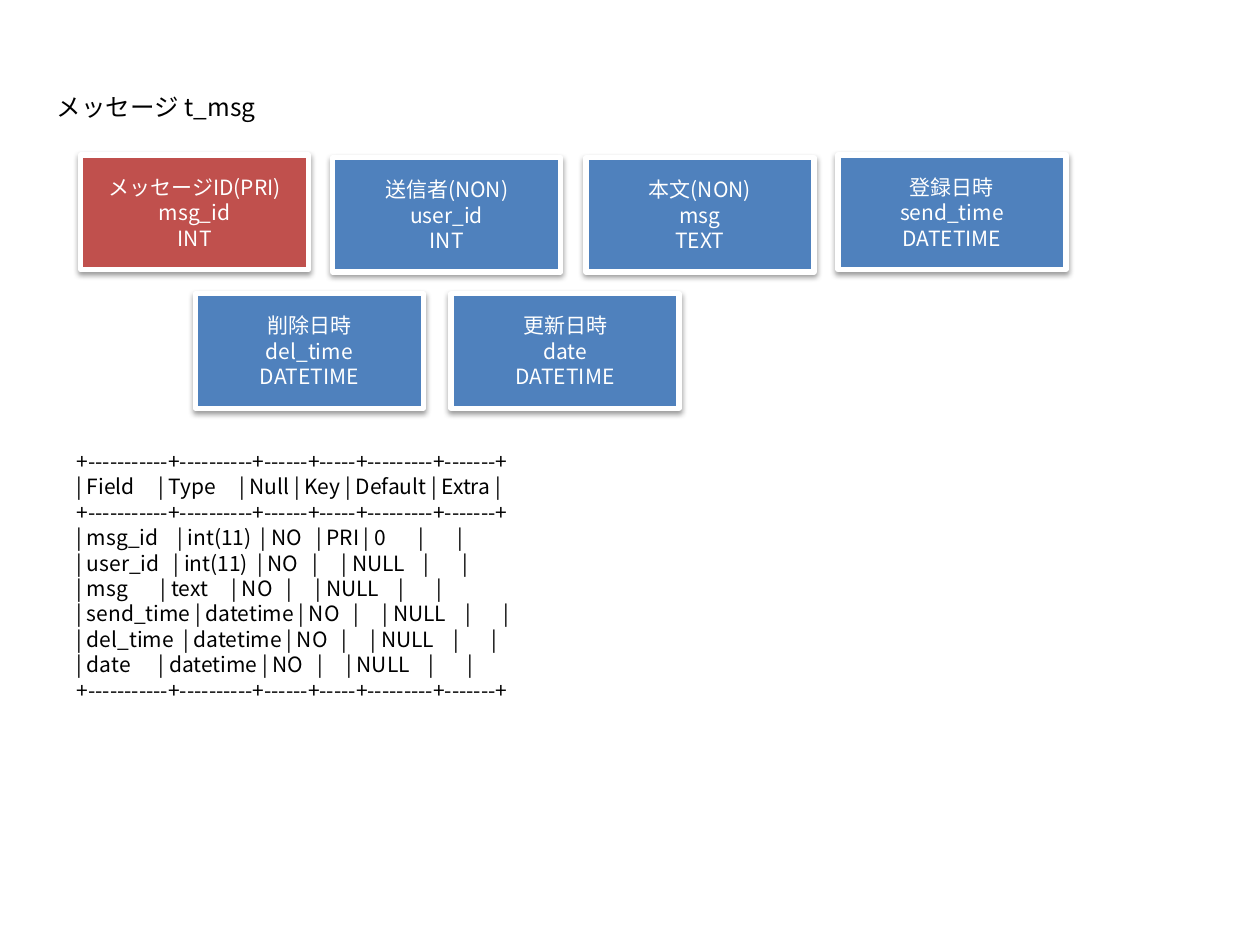
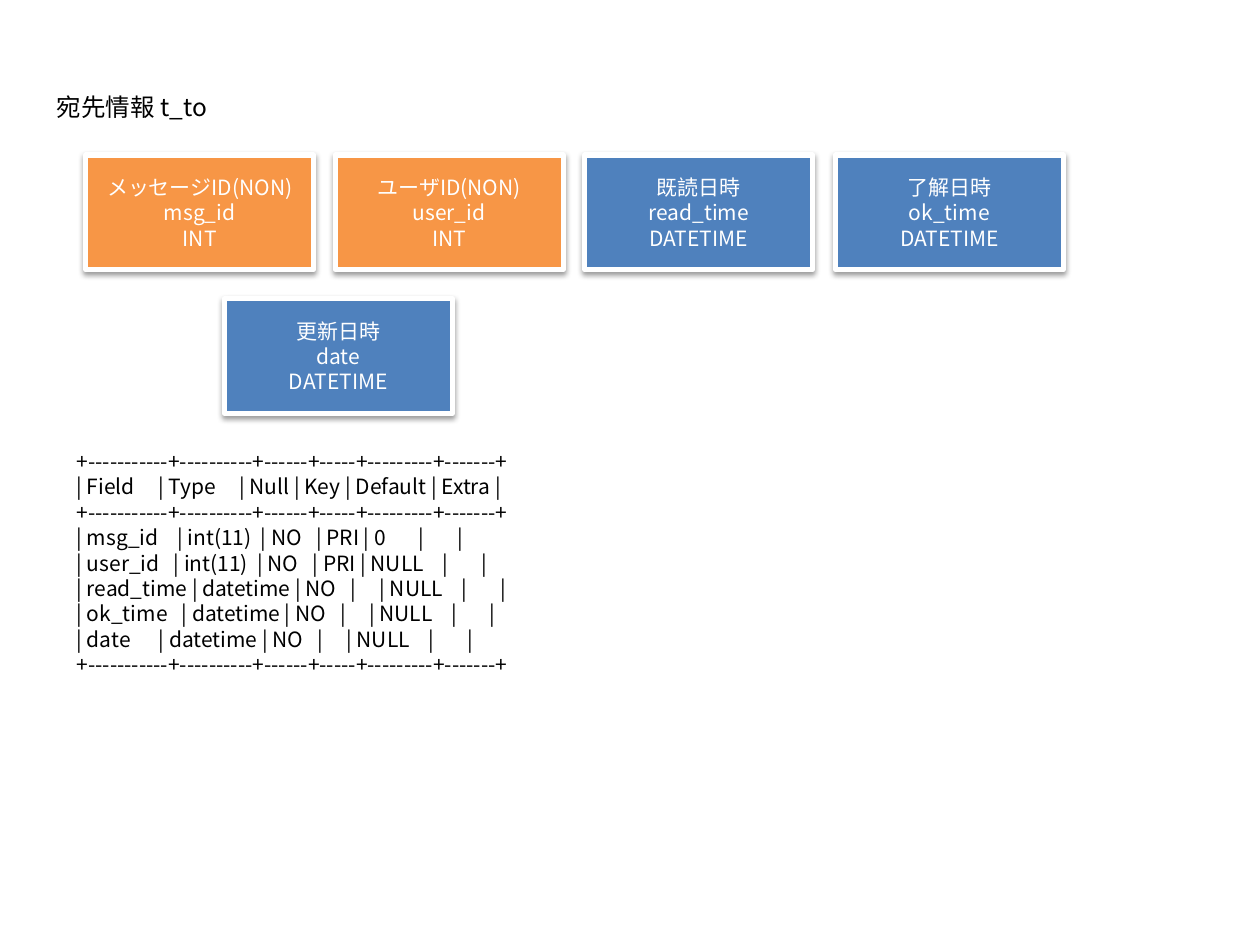
from lxml import etree
from pptx import Presentation
from pptx.dml.color import RGBColor
from pptx.enum.shapes import MSO_SHAPE
from pptx.enum.text import MSO_ANCHOR, MSO_AUTO_SIZE, PP_ALIGN
from pptx.oxml import parse_xml
from pptx.oxml.ns import nsdecls, qn
from pptx.util import Inches, Pt

RECTANGLE = MSO_SHAPE.RECTANGLE
TOP, MIDDLE = MSO_ANCHOR.TOP, MSO_ANCHOR.MIDDLE
LEFT, CENTER = PP_ALIGN.LEFT, PP_ALIGN.CENTER
GROW = MSO_AUTO_SIZE.SHAPE_TO_FIT_TEXT

FONT = "Noto Sans CJK JP"
BLACK = RGBColor(0x00, 0x00, 0x00)
WHITE = RGBColor(0xFF, 0xFF, 0xFF)
RED = RGBColor(0xC0, 0x50, 0x4D)
BLUE = RGBColor(0x4F, 0x81, 0xBD)
ORANGE = RGBColor(0xF7, 0x96, 0x46)

COLUMN_WIDTHS = [9, 8, 4, 3, 7, 5]
HEADINGS = ["Field", "Type", "Null", "Key", "Default", "Extra"]
RULE = "+" + "+".join("-" * (width + 2) for width in COLUMN_WIDTHS) + "+"
SHADOW = (
    f'<a:outerShdw {nsdecls("a")} blurRad="40000" dist="20000" dir="5400000" '
    'rotWithShape="0"><a:srgbClr val="000000"><a:alpha val="38000"/>'
    "</a:srgbClr></a:outerShdw>"
)

TABLES = [
    {
        "title": "メッセージ t_msg",
        "title_width": 1.85,
        "columns": [
            (0.64, 1.23, RED, "メッセージID(PRI)", "msg_id", "INT"),
            (2.64, 1.25, BLUE, "送信者(NON)", "user_id", "INT"),
            (4.65, 1.25, BLUE, "本文(NON)", "msg", "TEXT"),
            (6.65, 1.23, BLUE, "登録日時", "send_time", "DATETIME"),
            (1.55, 2.33, BLUE, "削除日時", "del_time", "DATETIME"),
            (3.58, 2.33, BLUE, "更新日時", "date", "DATETIME"),
        ],
        "fields": [
            ("msg_id", "int(11)", "PRI", "0"),
            ("user_id", "int(11)", "", "NULL"),
            ("msg", "text", "", "NULL"),
            ("send_time", "datetime", "", "NULL"),
            ("del_time", "datetime", "", "NULL"),
            ("date", "datetime", "", "NULL"),
        ],
    },
    {
        "title": "宛先情報 t_to",
        "title_width": 1.44,
        "columns": [
            (0.68, 1.23, ORANGE, "メッセージID(NON)", "msg_id", "INT"),
            (2.66, 1.23, ORANGE, "ユーザID(NON)", "user_id", "INT"),
            (4.64, 1.23, BLUE, "既読日時", "read_time", "DATETIME"),
            (6.63, 1.23, BLUE, "了解日時", "ok_time", "DATETIME"),
            (1.78, 2.37, BLUE, "更新日時", "date", "DATETIME"),
        ],
        "fields": [
            ("msg_id", "int(11)", "PRI", "0"),
            ("user_id", "int(11)", "PRI", "NULL"),
            ("read_time", "datetime", "", "NULL"),
            ("ok_time", "datetime", "", "NULL"),
            ("date", "datetime", "", "NULL"),
        ],
    },
]


def write_lines(frame, lines, size, color, align, spacing):
    for index, line in enumerate(lines):
        para = frame.paragraphs[0] if index == 0 else frame.add_paragraph()
        para.alignment = align
        para.line_spacing = Pt(spacing)
        span = para.add_run()
        span.text = line
        span.font.size = Pt(size)
        span.font.name = FONT
        span.font.color.rgb = color
        east_asian = etree.SubElement(span.font._element, qn("a:ea"))
        east_asian.set("typeface", FONT)


def format_row(cells):
    padded = [cell.ljust(width) for cell, width in zip(cells, COLUMN_WIDTHS)]
    return "| " + " | ".join(padded) + " |"


deck = Presentation()
deck.slide_width = Inches(10)
deck.slide_height = Inches(7.5)
title_only = deck.slide_layouts[5]

for table in TABLES:
    page = deck.slides.add_slide(title_only)

    title = page.shapes.title
    title.left, title.top = Inches(0.35), Inches(0.68)
    title.width, title.height = Inches(table["title_width"]), Inches(0.34)
    title.text_frame.word_wrap = False
    title.text_frame.auto_size = GROW
    title.text_frame.vertical_anchor = TOP
    write_lines(title.text_frame, [table["title"]], 14, BLACK, LEFT, 17)

    for left, top, color, *lines in table["columns"]:
        box = page.shapes.add_shape(
            RECTANGLE, Inches(left), Inches(top), Inches(1.81), Inches(0.91)
        )
        box.fill.solid()
        box.fill.fore_color.rgb = color
        box.line.color.rgb = WHITE
        box.line.width = Pt(3)
        box.shadow.inherit = False
        effects = box._element.spPr.find(qn("a:effectLst"))
        effects.append(parse_xml(SHADOW))
        box.text_frame.word_wrap = True
        box.text_frame.vertical_anchor = MIDDLE
        write_lines(box.text_frame, lines, 12, WHITE, CENTER, 14.5)

    rows = [
        format_row([field, kind, "NO", key, default, ""])
        for field, kind, key, default in table["fields"]
    ]
    listing = [RULE, format_row(HEADINGS), RULE, *rows, RULE]
    schema = page.shapes.add_textbox(
        Inches(0.51), Inches(3.51), Inches(7.64), Inches(0.1 + 0.2 * len(listing))
    )
    schema.text_frame.word_wrap = True
    schema.text_frame.auto_size = GROW
    write_lines(schema.text_frame, listing, 12, BLACK, LEFT, 14.5)

deck.save("out.pptx")
